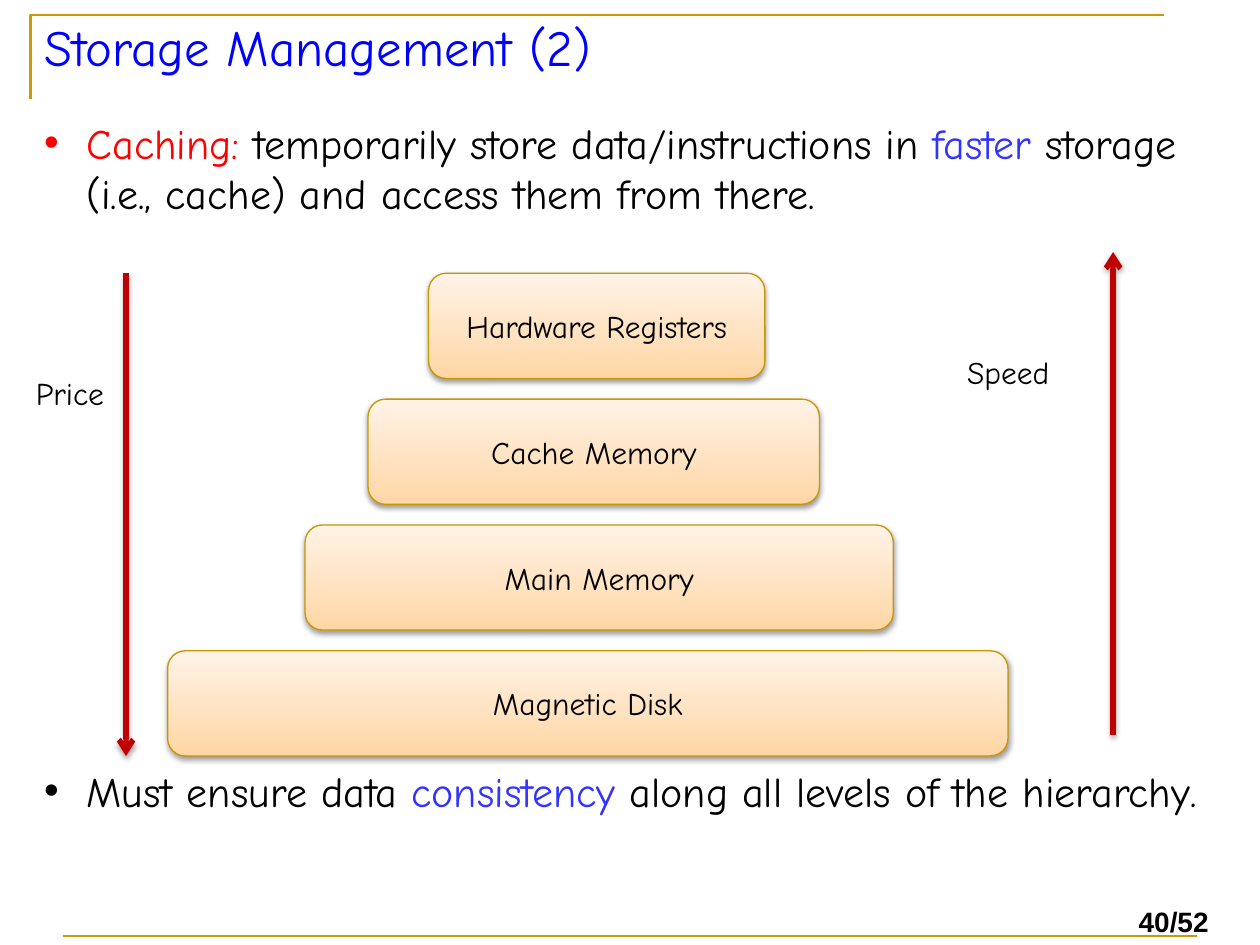
import pptx
import pptx.dml.color
import pptx.enum.shapes
import pptx.enum.text
import pptx.oxml
import pptx.oxml.ns
import pptx.util
from pptx.util import Cm

FONT = "Comic Neue"
BLACK, BLUE, RED, GOLD = "000000", "3333FF", "FF0000", "CC9900"
ALIGN = pptx.enum.text.PP_ALIGN


def rgb(hex_color):
    return pptx.dml.color.RGBColor.from_string(hex_color)


def add_xml(parent, xml):
    ns = pptx.oxml.ns.nsdecls("a")
    parent.append(pptx.oxml.parse_xml(xml.replace(">", f" {ns}>", 1)))


def set_shadow(s, alpha, dist):
    add_xml(s._element.spPr, f"""<a:effectLst>
        <a:outerShdw blurRad="39400" dist="{dist}" dir="5400000" rotWithShape="0">
        <a:srgbClr val="000000"><a:alpha val="{alpha}000"/></a:srgbClr>
        </a:outerShdw></a:effectLst>""")


def style_font(p, size, color=BLACK, name=FONT, bold=False):
    p.font.size = pptx.util.Pt(size)
    p.font.name = name
    p.font.bold = bold
    p.font.color.rgb = rgb(color)


def add_line(slide, x1, y1, x2, y2, color, width):
    s = slide.shapes.add_connector(
        pptx.enum.shapes.MSO_CONNECTOR.STRAIGHT, Cm(x1), Cm(y1), Cm(x2), Cm(y2))
    s.line.color.rgb = rgb(color)
    s.line.width = pptx.util.Pt(width)
    return s


def add_label(slide, x, y, w, h, text, size, **font):
    tf = slide.shapes.add_textbox(Cm(x), Cm(y), Cm(w), Cm(h)).text_frame
    tf.word_wrap = False
    p = tf.paragraphs[0]
    p.text = text
    p.alignment = ALIGN.CENTER
    style_font(p, size, **font)


def add_frame(slide, x, y, w, h):
    # Corner rule at the top left
    builder = slide.shapes.build_freeform(Cm(x), Cm(y + 1.7))
    builder.add_line_segments([(Cm(x), Cm(y)), (Cm(x + 22.86), Cm(y))], close=False)
    s = builder.convert_to_shape()
    s.shadow.inherit = False
    s.fill.background()
    s.line.color.rgb = rgb(GOLD)
    s.line.width = pptx.util.Pt(1.5)

    # Footer rule and page number
    rule = add_line(slide, x + 0.66, y + h, x + 23.52, y + h, GOLD, 1.5)
    add_xml(rule._element.spPr, "<a:effectLst></a:effectLst>")
    add_label(slide, x + 22.05, y + h - 0.76, 2, 0.94, "40/52", 16, name="Arial", bold=True)


def add_title(slide, x, y, w, h, text):
    s = slide.shapes.title
    s.left, s.top, s.width, s.height = Cm(x), Cm(y), Cm(w), Cm(h)
    tf = s.text_frame
    tf.vertical_anchor = pptx.enum.text.MSO_ANCHOR.TOP
    p = tf.paragraphs[0]
    p.text = text
    p.alignment = ALIGN.LEFT
    style_font(p, 29, "0000FF")


def add_bullet(slide, x, y, w, h, runs):
    tf = slide.shapes.add_textbox(Cm(x), Cm(y), Cm(w), Cm(h)).text_frame
    tf.word_wrap = True
    p = tf.paragraphs[0]
    pPr = p._p.get_or_add_pPr()
    pPr.set("marL", str(Cm(0.86)))
    pPr.set("indent", str(-Cm(0.86)))
    add_xml(pPr, '<a:buFont typeface="Arial"></a:buFont>')
    add_xml(pPr, '<a:buChar char="•"></a:buChar>')
    style_font(p, 24)
    for text, color in runs:
        r = p.add_run()
        r.text = text
        r.font.color.rgb = rgb(color)


def add_tier(slide, x, y, w, h, text):
    s = slide.shapes.add_shape(
        pptx.enum.shapes.MSO_SHAPE.ROUNDED_RECTANGLE, Cm(x), Cm(y), Cm(w), Cm(h))
    s.fill.gradient()
    s.fill.gradient_angle = 90
    for stop, color in zip(s.fill.gradient_stops, ("FFD6A5", "FFF3E7")):
        stop.color.rgb = rgb(color)
    s.line.color.rgb = rgb("C89600")
    s.line.width = pptx.util.Pt(0.75)
    set_shadow(s, 38, 20000)
    p = s.text_frame.paragraphs[0]
    p.text = text
    style_font(p, 18)


def add_arrow(slide, x, start, end):
    s = add_line(slide, x, start, x, end, "C00000", 3)
    add_xml(s.line._get_or_add_ln(), '<a:tailEnd type="arrow"></a:tailEnd>')
    set_shadow(s, 35, 23000)


def add_hierarchy(slide, x, y, w, h):
    # Storage tiers, widening downwards: offset, width, name
    tiers = [
        (6.1, 6.78, "Hardware Registers"),
        (4.88, 9.1, "Cache Memory"),
        (3.61, 11.86, "Main Memory"),
        (0.84, 16.94, "Magnetic Disk"),
    ]
    tier_h = 2.12
    step = (h - 0.43 - tier_h) / (len(tiers) - 1)
    for i, (dx, tier_w, name) in enumerate(tiers):
        add_tier(slide, x + dx, y + 0.43 + i * step, tier_w, tier_h, name)

    # Price grows upwards on the scale read downwards, speed grows upwards
    add_arrow(slide, x, y + 0.43, y + h)
    add_arrow(slide, x + w, y + h - 0.43, y)
    add_label(slide, x - 2.13, y + 2.34, 2, 1.02, "Price", 18)
    add_label(slide, x + w - 3.31, y + 1.91, 2.39, 1.02, "Speed", 18)


def main():
    prs = pptx.Presentation()
    prs.slide_width, prs.slide_height = Cm(25.4), Cm(19.05)
    slide = prs.slides.add_slide(prs.slide_layouts[5])

    add_frame(slide, 0.61, 0.3, 23.52, 18.57)
    add_title(slide, 0.64, 0.2, 22.86, 3.18, "Storage Management (2)")
    add_bullet(slide, 0.64, 2.24, 23.93, 2.4, [
        ("Caching: ", RED),
        ("temporarily store data/instructions in ", BLACK),
        ("faster", BLUE),
        (" storage (i.e., cache) and access them from there.", BLACK),
    ])
    add_hierarchy(slide, 2.54, 5.08, 19.9, 10.16)
    add_bullet(slide, 0.64, 15.3, 23.93, 1.3, [
        ("Must ensure data ", BLACK),
        ("consistency", BLUE),
        (" along all levels of the hierarchy.", BLACK),
    ])
    prs.save("out.pptx")


if __name__ == "__main__":
    main()
